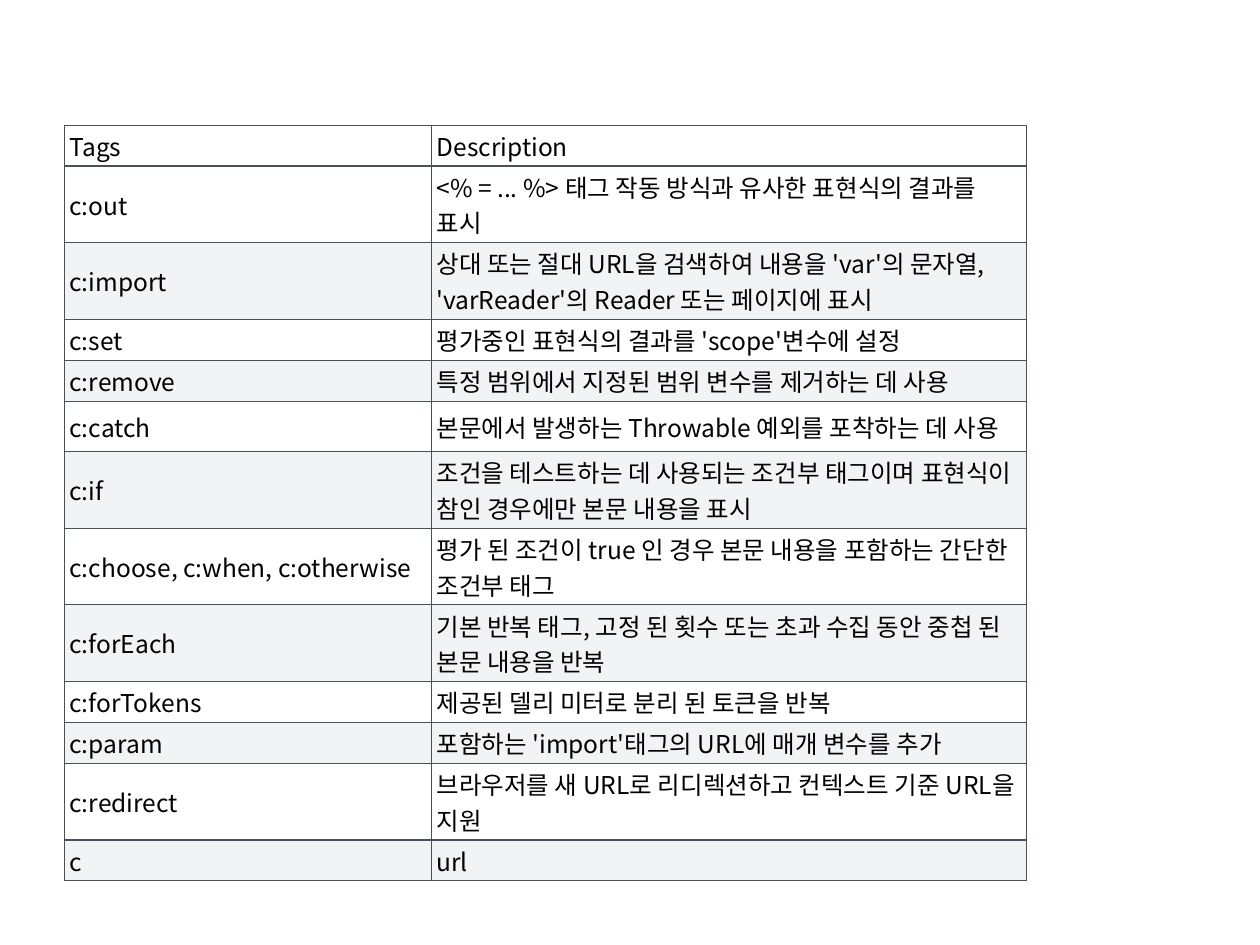
from lxml import etree
from pptx import Presentation
from pptx.dml.color import RGBColor
from pptx.enum import text
from pptx.oxml import ns
from pptx.util import Pt

BLACK = RGBColor(0x00, 0x00, 0x00)
WHITE = RGBColor(0xFF, 0xFF, 0xFF)
STRIPE = RGBColor(0xF1, 0xF3, 0xF5)
BORDER = RGBColor(0x49, 0x50, 0x57)

# Row heights: one line, one loose line, two lines
ONE, LOOSE, TWO = 23.2, 28.8, 43.4

TAGS = [
    ("Tags", "Description", ONE),
    ("c:out", "<% = ... %> 태그 작동 방식과 유사한 표현식의 결과를 표시", TWO),
    ("c:import", "상대 또는 절대 URL을 검색하여 내용을 'var'의 문자열, "
     "'varReader'의 Reader 또는 페이지에 표시", TWO),
    ("c:set", "평가중인 표현식의 결과를 'scope'변수에 설정", ONE),
    ("c:remove", "특정 범위에서 지정된 범위 변수를 제거하는 데 사용", ONE),
    ("c:catch", "본문에서 발생하는 Throwable 예외를 포착하는 데 사용", LOOSE),
    ("c:if", "조건을 테스트하는 데 사용되는 조건부 태그이며 표현식이 "
     "참인 경우에만 본문 내용을 표시", TWO),
    ("c:choose, c:when, c:otherwise",
     "평가 된 조건이 true 인 경우 본문 내용을 포함하는 간단한 조건부 태그", TWO),
    ("c:forEach", "기본 반복 태그, 고정 된 횟수 또는 초과 수집 동안 중첩 된 "
     "본문 내용을 반복", TWO),
    ("c:forTokens", "제공된 델리 미터로 분리 된 토큰을 반복", ONE),
    ("c:param", "포함하는 'import'태그의 URL에 매개 변수를 추가", ONE),
    ("c:redirect", "브라우저를 새 URL로 리디렉션하고 컨텍스트 기준 URL을 지원", TWO),
    ("c", "url", ONE),
]


class Deck:
    font = "Noto Sans CJK KR"
    size = Pt(14)
    line = Pt(0.75)

    def __init__(self, width, height):
        self.prs = Presentation()
        self.prs.slide_width, self.prs.slide_height = Pt(width), Pt(height)
        self.s = self.prs.slides.add_slide(self.prs.slide_layouts[6])

    def table(self, left, top, widths, rows):
        height = sum(row[-1] for row in rows)
        frame = self.s.shapes.add_table(len(rows), len(widths), Pt(left), Pt(top),
                                        Pt(sum(widths)), Pt(height))
        tbl = frame.table
        for col, width in zip(tbl.columns, widths):
            col.width = Pt(width)
        for i, (*words, row_height) in enumerate(rows):
            tbl.rows[i].height = Pt(row_height)
            fill = STRIPE if i and i % 2 == 0 else WHITE
            for j, word in enumerate(words):
                self.cell(tbl.cell(i, j), word, fill)

    def cell(self, cell, word, fill):
        cell.margin_left = cell.margin_right = Pt(3)
        cell.margin_top = cell.margin_bottom = Pt(1.5)
        cell.vertical_anchor = text.MSO_ANCHOR.MIDDLE
        cell.text_frame.text = word
        r = cell.text_frame.paragraphs[0].runs[0]
        r.font.name, r.font.size, r.font.bold = self.font, self.size, False
        r.font.color.rgb = BLACK
        ea = etree.SubElement(r.font._element, ns.qn("a:ea"))
        ea.set("typeface", self.font)
        self.borders(cell)
        cell.fill.solid()
        cell.fill.fore_color.rgb = fill

    def borders(self, cell):
        props = cell._tc.get_or_add_tcPr()
        for side in ("a:lnL", "a:lnR", "a:lnT", "a:lnB"):
            ln = etree.SubElement(props, ns.qn(side), w=str(int(self.line)))
            solid = etree.SubElement(ln, ns.qn("a:solidFill"))
            etree.SubElement(solid, ns.qn("a:srgbClr"), val=str(BORDER))


deck = Deck(720, 540)

# Tag reference table
deck.table(36.75, 71.5, [209.75, 340], TAGS)

deck.prs.save("out.pptx")
